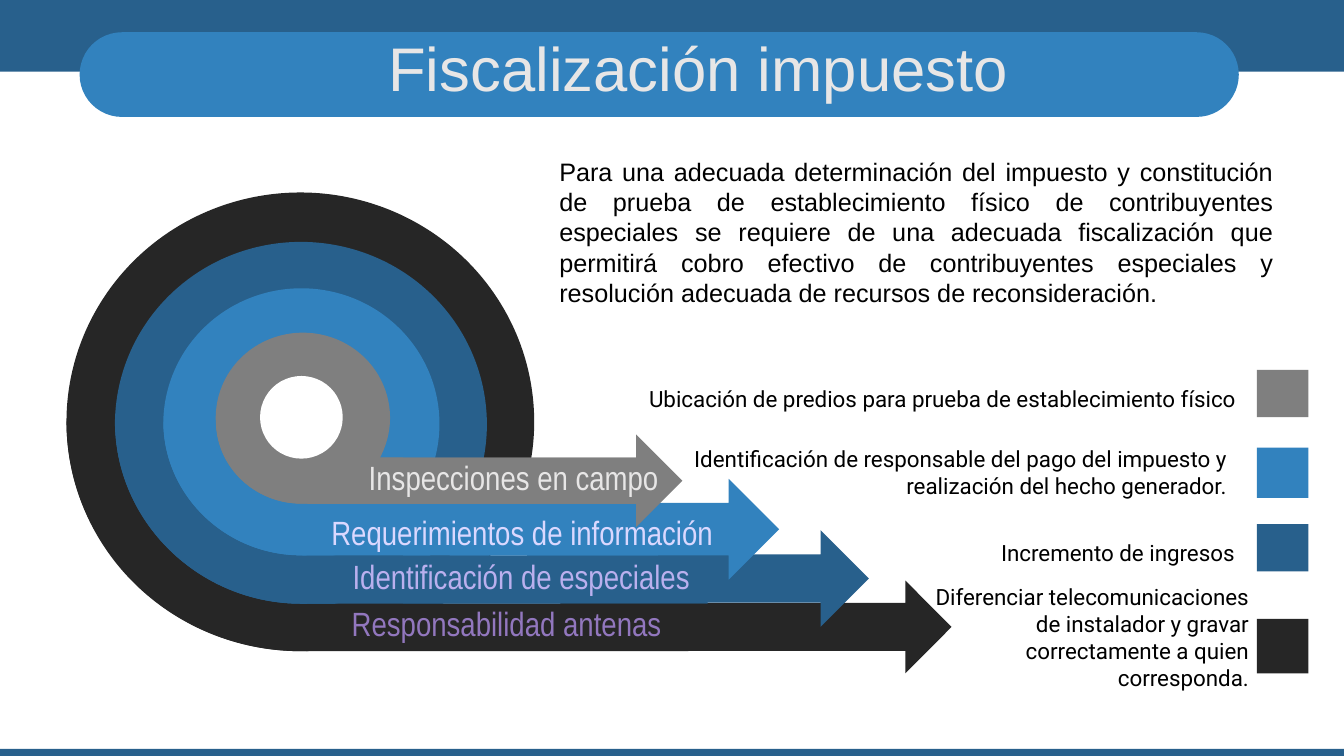
from dataclasses import dataclass
from typing import NamedTuple

from lxml.etree import SubElement
from pptx import Presentation
from pptx.dml.color import RGBColor
from pptx.enum.shapes import MSO_SHAPE as Shape
from pptx.enum.text import MSO_ANCHOR as Anchor, PP_ALIGN as Align
from pptx.oxml.ns import qn
from pptx.util import Emu, Inches, Pt

COLUMNS, ROWS = 4000 / 3, 750
CELL = Inches(0.01)
ARC = 0.55

NAVY = RGBColor(0x28, 0x60, 0x8C)
BLUE = RGBColor(0x32, 0x82, 0xBE)
CHARCOAL = RGBColor(0x26, 0x26, 0x26)
GREY = RGBColor(0x7F, 0x7F, 0x7F)
LIGHT = RGBColor(0xE7, 0xE6, 0xE6)
PALE = RGBColor(0xDA, 0xD8, 0xFF)
LILAC = RGBColor(0xBA, 0xB0, 0xEE)
PURPLE = RGBColor(0x92, 0x77, 0xBE)
WHITE = RGBColor(0xFF, 0xFF, 0xFF)
BLACK = RGBColor(0, 0, 0)


def emu(cells: float) -> Emu:
    return Emu(round(cells * CELL))


class Area(NamedTuple):
    column: float
    row: float
    columns: float
    rows: float


@dataclass(frozen=True)
class Style:
    name: str
    size: int
    align: Align = Align.RIGHT
    anchor: Anchor = Anchor.MIDDLE
    spacing: float | None = None
    side: float = 0.13
    top: float = 0.13


@dataclass(frozen=True)
class Block:
    area: Area
    color: RGBColor
    preset: Shape = Shape.RECTANGLE
    adjustments: tuple[float, ...] = ()


@dataclass(frozen=True)
class Label:
    area: Area
    text: str
    color: RGBColor
    style: Style


@dataclass(frozen=True)
class Band:
    color: RGBColor
    left: int
    bottom: int
    inner_left: int
    inner_bottom: int
    shaft_start: int
    shaft_end: int


TITLE = Style("Arial", 44, Align.CENTER, spacing=0.9)
INTRO = Style("Arial", 18, Align.JUSTIFY, Anchor.TOP, side=0.1, top=0.05)
LEGEND = Style("Roboto", 16, anchor=Anchor.TOP)
STEP = Style("Arial Narrow", 24)
STEP_LEFT = Style("Arial Narrow", 24, Align.LEFT)

HUB_COLUMN, HUB_ROW, TAIL_COLUMN = 299, 418, 305

FRAME = [
    Block(Area(0, 0, COLUMNS, 71), NAVY),
    Block(Area(79, 32, 1150, 84), BLUE, Shape.ROUNDED_RECTANGLE, (0.5,)),
    Block(Area(0, 743, COLUMNS, 7), NAVY),
]
ENTRIES = [
    (Block(Area(1247, row, 51, rows), color), Label(area, text, BLACK, LEGEND))
    for row, rows, color, area, text in [
        (444, 50, BLUE, Area(619, 429, 611, 47),
         "Identificación de responsable del pago del impuesto y realización del hecho generador."),
        (614, 54, CHARCOAL, Area(902, 566, 350, 45),
         "Diferenciar telecomunicaciones de instalador y gravar correctamente a quien corresponda."),
        (367, 47, GREY, Area(611, 369, 628, 45),
         "Ubicación de predios para prueba de establecimiento físico"),
        (520, 47, NAVY, Area(800, 522, 438, 45), "Incremento de ingresos"),
    ]
]
DISCS = [
    Block(Area(66, 191, 464, 455), CHARCOAL, Shape.OVAL),
    Block(Area(114, 240, 369, 362), NAVY, Shape.OVAL),
    Block(Area(162, 286, 274, 269), BLUE, Shape.OVAL),
    Block(Area(214, 330, 173, 169), GREY, Shape.OVAL),
]
BANDS = [
    Band(CHARCOAL, 66, 646, 114, 599, 304, 683),
    Band(GREY, 214, 500, 261, 454, 302, 400),
    Band(NAVY, 114, 599, 162, 551, 304, 588),
    Band(BLUE, 162, 551, 214, 500, 300, 485),
]
FLOW = [
    Block(Area(556, 576, 388, 92), CHARCOAL, Shape.RIGHT_ARROW, (0.517, 0.497)),
    Block(Area(523, 526, 339, 96), NAVY, Shape.RIGHT_ARROW, (0.5, 0.5)),
    Block(Area(400, 552, 302, 47), NAVY),
    Block(Area(400, 599, 346, 46), CHARCOAL),
    Block(Area(400, 500, 253, 51), BLUE),
    Label(Area(255, 550, 442, 42), "Identificación de especiales", LILAC, STEP),
    Label(Area(336, 582, 440, 72), "Responsabilidad antenas", PURPLE, STEP_LEFT),
    Block(Area(446, 475, 327, 100), BLUE, Shape.RIGHT_ARROW, (0.522, 0.5)),
    Label(Area(219, 500, 501, 55), "Requerimientos de información", PALE, STEP),
    Block(Area(368, 431, 309, 92), GREY, Shape.RIGHT_ARROW, (0.5, 0.5)),
    Block(Area(344, 454, 298, 46), GREY),
    Label(Area(258, 455, 408, 36), "Inspecciones en campo", LIGHT, STEP),
    Block(Area(258, 373, 82, 82), WHITE, Shape.OVAL),
    Label(Area(93, 50, 1200, 43), "Fiscalización impuesto", LIGHT, TITLE),
    Label(
        Area(545, 150, 728, 162),
        "Para una adecuada determinación del impuesto y constitución de prueba de "
        "establecimiento físico de contribuyentes especiales se requiere de una adecuada "
        "fiscalización que permitirá cobro efectivo de contribuyentes especiales y "
        "resolución adecuada de recursos de reconsideración.",
        BLACK, INTRO,
    ),
]


def apply(target, values: dict) -> None:
    for attribute, value in values.items():
        setattr(target, attribute, value)


def paint(shape, color: RGBColor) -> None:
    shape.shadow.inherit = False
    shape.fill.solid()
    shape.fill.fore_color.rgb = color
    shape.line.fill.background()


def draw_block(shapes, block: Block) -> None:
    shape = shapes.add_shape(block.preset, *map(emu, block.area))
    for index, value in enumerate(block.adjustments):
        shape.adjustments[index] = value
    paint(shape, block.color)


def quarter(left: int, bottom: int) -> list[tuple[float, float]]:
    return [
        (left, HUB_ROW),
        (left, HUB_ROW + ARC * (bottom - HUB_ROW)),
        (HUB_COLUMN - ARC * (HUB_COLUMN - left), bottom),
        (HUB_COLUMN, bottom),
    ]


def bend(segments: list) -> None:
    first, *others = segments
    curve = first.makeelement(qn("a:cubicBezTo"))
    first.addprevious(curve)
    for segment in segments:
        curve.append(segment[0])
        segment.getparent().remove(segment)


def draw_hook(shapes, band: Band) -> None:
    tail = [(TAIL_COLUMN, band.bottom), (TAIL_COLUMN, band.inner_bottom)]
    inner = quarter(band.inner_left, band.inner_bottom)[::-1]
    outline = quarter(band.left, band.bottom) + tail + inner
    start, *rest = [(emu(column), emu(row)) for column, row in outline]
    builder = shapes.build_freeform(*start)
    builder.add_line_segments(rest, close=True)
    hook = builder.convert_to_shape()
    segments = list(hook.element.iter(qn("a:lnTo")))
    bend(segments[:3])
    bend(segments[6:9])
    paint(hook, band.color)
    shaft = Area(band.shaft_start, band.inner_bottom,
                 band.shaft_end - band.shaft_start, band.bottom - band.inner_bottom)
    draw_block(shapes, Block(shaft, band.color))


def draw_label(shapes, label: Label) -> None:
    style = label.style
    frame = shapes.add_textbox(*map(emu, label.area)).text_frame
    side, top = Inches(style.side), Inches(style.top)
    apply(frame, {
        "word_wrap": True, "vertical_anchor": style.anchor,
        "margin_left": side, "margin_right": side, "margin_top": top, "margin_bottom": top,
    })
    paragraph = frame.paragraphs[0]
    apply(paragraph, {"text": label.text, "alignment": style.align, "line_spacing": style.spacing})
    font = paragraph.runs[0].font
    apply(font, {"name": style.name, "size": Pt(style.size)})
    font.color.rgb = label.color


def draw(shapes, parts: list[Block | Label]) -> None:
    for part in parts:
        if isinstance(part, Block):
            draw_block(shapes, part)
        else:
            draw_label(shapes, part)


def main() -> None:
    deck = Presentation()
    apply(deck, {"slide_width": emu(COLUMNS), "slide_height": emu(ROWS)})
    shapes = deck.slides.add_slide(deck.slide_layouts[6]).shapes
    draw(shapes, FRAME)
    for entry in ENTRIES:
        draw(shapes.add_group_shape().shapes, entry)
    draw(shapes, DISCS)
    for band in BANDS:
        draw_hook(shapes.add_group_shape().shapes, band)
    draw(shapes, FLOW)
    deck.save("out.pptx")


if __name__ == "__main__":
    main()
